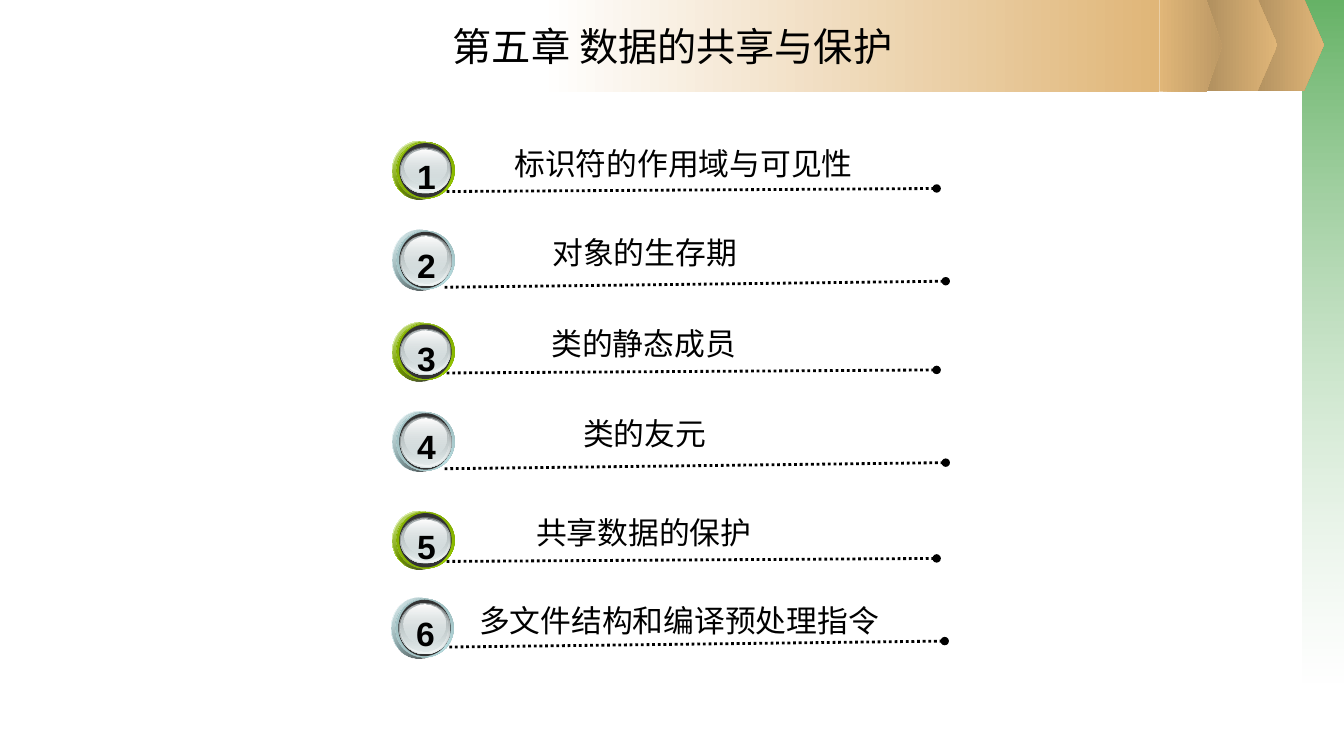
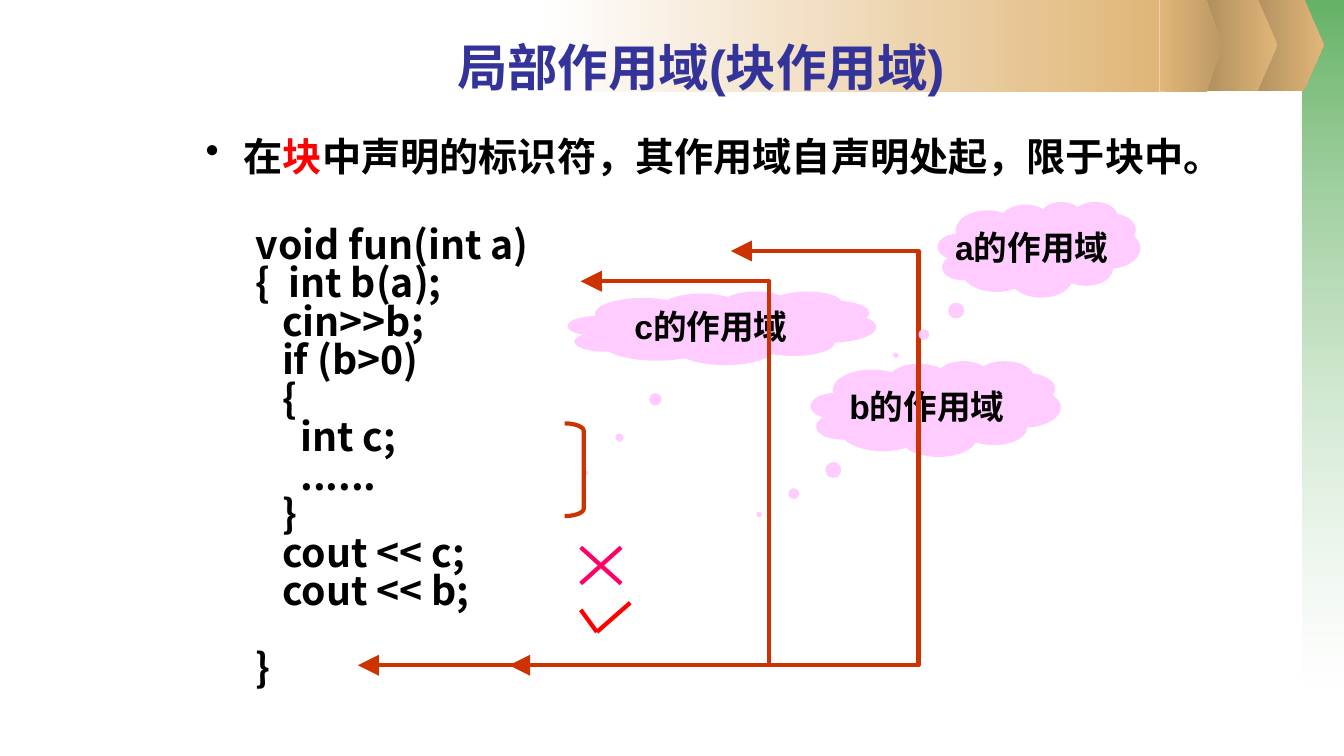
"""Build two slides of a programming lecture: a chapter outline and local scope."""
from dataclasses import dataclass
from typing import NamedTuple, Optional

from lxml import etree
from pptx import Presentation
from pptx import util as u
from pptx.dml.color import RGBColor
from pptx.enum import dml, shapes, text
from pptx.oxml.ns import qn


@dataclass(frozen=True)
class Theme:
    black: str = "000000"
    white: str = "FFFFFF"
    title_blue: str = "333399"
    red: str = "FF0000"
    cross_pink: str = "FF0066"
    cloud_pink: str = "FFCCFF"
    arrow: str = "CC3300"
    gold: str = "E0B678"
    dark_gold: str = "AB8B5C"
    mid_gold: str = "BD9965"
    green: str = "339933"
    dark_ring: str = "333333"
    silver: str = "D6E1E2"
    latin: str = "Arial"
    asian: str = "Noto Sans CJK SC"
    chapter_size: float = 28
    title_size: float = 36
    body_size: float = 28
    callout_size: float = 24
    label_size: float = 22
    thin: float = 2
    thick: float = 3


THEME = Theme()
SHAPE = shapes.MSO_SHAPE


class Box(NamedTuple):
    left: float
    top: float
    width: float
    height: float


class Point(NamedTuple):
    x: float
    y: float


class Stop(NamedTuple):
    position: int
    color: str
    opacity: int = 100


class Gradient(NamedTuple):
    angle: int
    stops: tuple


class Band(NamedTuple):
    kind: int
    box: Box
    gradient: Gradient


class ButtonStyle(NamedTuple):
    color: str
    rim_shade: str
    rim_glow: str
    rule_start: float
    rule_end: float
    rule_rise: float
    layers: tuple


class Topic(NamedTuple):
    label: str
    left: float
    top: float
    rule_drop: float
    label_box: Box


class Callout(NamedTuple):
    label: str
    box: Box
    tail: tuple


class CodeLine(NamedTuple):
    code: str
    indent: float = 0
    gap: float = 0


def two(angle: int, start: Stop, end: Stop) -> Gradient:
    return Gradient(angle, (start, end))


GOLD_PLATE = two(0, Stop(0, THEME.dark_gold), Stop(100, THEME.gold))
BANDS = (
    Band(SHAPE.RECTANGLE, Box(12.92, 0, 0.41, 6.77),
         two(90, Stop(0, THEME.green, 75), Stop(100, THEME.white, 37))),
    Band(SHAPE.PENTAGON, Box(12.34, -0.01, 0.79, 0.91), GOLD_PLATE),
    Band(SHAPE.PENTAGON, Box(11.88, -0.01, 0.79, 0.91), GOLD_PLATE),
    Band(SHAPE.RECTANGLE, Box(5.36, 0, 6.14, 0.91),
         two(0, Stop(0, THEME.white), Stop(100, THEME.gold))),
    Band(SHAPE.PENTAGON, Box(11.5, 0, 0.62, 0.91),
         two(0, Stop(0, THEME.gold), Stop(100, THEME.mid_gold))),
)
GREEN = ButtonStyle("99CC00", "759C00", "7EA700", 0.54, 5.4, 0.03, (
    Box(0, 0, 0.53, 0.58), Box(0, 0, 0.53, 0.58), Box(0.04, 0.01, 0.58, 0.56),
    Box(0.04, 0.01, 0.58, 0.56), Box(0.07, 0.02, 0.52, 0.54), Box(0.08, 0.06, 0.5, 0.46),
    Box(0.09, 0.06, 0.49, 0.45), Box(0.09, 0.07, 0.47, 0.42), Box(0.12, 0.08, 0.42, 0.34)))
BLUE = ButtonStyle("BBE0E3", "8FACAE", "9AB8BA", 0.52, 5.49, 0.06, (
    Box(0, 0, 0.54, 0.6), Box(0, 0, 0.54, 0.6), Box(0.04, 0.01, 0.58, 0.58),
    Box(0.04, 0.01, 0.58, 0.58), Box(0.07, 0.02, 0.52, 0.56), Box(0.08, 0.05, 0.51, 0.51),
    Box(0.09, 0.05, 0.49, 0.5), Box(0.09, 0.06, 0.47, 0.47), Box(0.12, 0.07, 0.42, 0.38)))
TOPICS = (
    Topic("标识符的作用域与可见性", 3.89, 1.4, 0.5, Box(4.2, 1.39, 5.16, 0.47)),
    Topic("对象的生存期", 3.89, 2.28, 0.57, Box(3.98, 2.27, 4.83, 0.47)),
    Topic("类的静态成员", 3.89, 3.2, 0.5, Box(3.97, 3.17, 4.83, 0.47)),
    Topic("类的友元", 3.89, 4.08, 0.57, Box(3.98, 4.07, 4.83, 0.47)),
    Topic("共享数据的保护", 3.89, 5.07, 0.5, Box(3.97, 5.05, 4.83, 0.47)),
    Topic("多文件结构和编译预处理指令", 3.88, 5.93, 0.49, Box(4.12, 5.92, 5.23, 0.47)),
)
CODE_PITCH = 27.5
CODE = (
    CodeLine("void fun(int a)", gap=35.5), CodeLine("{  int b(a);"),
    CodeLine("cin>>b;", 0.26), CodeLine("if (b>0)", 0.26), CodeLine("{", 0.26),
    CodeLine("int c;", 0.44), CodeLine("......", 0.44), CodeLine("}", 0.26),
    CodeLine("cout << c;", 0.26), CodeLine("cout << b;", 0.26),
    CodeLine("}", gap=CODE_PITCH),
)
CALLOUT_A = Callout("a的作用域", Box(9.3, 2, 2.01, 0.95), (-0.707, 1.105))
CALLOUT_B = Callout("b的作用域", Box(8.04, 3.58, 2.48, 0.95), (-0.707, 1.105))
CALLOUT_C = Callout("c的作用域", Box(5.63, 2.89, 3.06, 0.73), (-0.439, 1.969))
SCOPE_A = (Point(7.25, 2.49), Point(9.11, 2.49), Point(9.11, 6.6), Point(5.05, 6.6))
SCOPE_B = (Point(5.76, 2.79), Point(7.63, 2.79), Point(7.63, 6.6), Point(3.55, 6.6))
CROSS = ((Point(5.76, 5.43), Point(6.16, 5.79)), (Point(6.16, 5.43), Point(5.76, 5.79)))
CHECK = ((Point(5.76, 6.05), Point(5.92, 6.27)), (Point(5.92, 6.27), Point(6.25, 5.98)))


def inches(values) -> list:
    return [u.Inches(value) for value in values]


def write(paragraph, content: str, *, size: float, color: str = THEME.black,
          bold: bool = False, font: str = THEME.latin, align=None) -> None:
    run = paragraph.add_run()
    run.text = content
    run.font.size, run.font.bold, run.font.name = u.Pt(size), bold, font
    run.font.color.rgb = RGBColor.from_string(color)
    etree.SubElement(run.font._element, qn("a:ea")).set("typeface", THEME.asian)
    if align is not None:
        paragraph.alignment = align


def add_text_box(container, box: Box, wrap: bool = True):
    frame = container.add_textbox(*inches(box)).text_frame
    frame.word_wrap = wrap
    return frame


def set_gradient(shape, gradient: Gradient) -> None:
    fill = etree.Element(qn("a:gradFill"))
    stop_list = etree.SubElement(fill, qn("a:gsLst"))
    for stop in gradient.stops:
        mark = etree.SubElement(stop_list, qn("a:gs"), pos=str(stop.position * 1000))
        color = etree.SubElement(mark, qn("a:srgbClr"), val=stop.color)
        if stop.opacity < 100:
            etree.SubElement(color, qn("a:alpha"), val=str(stop.opacity * 1000))
    etree.SubElement(fill, qn("a:lin"), ang=str(gradient.angle * 60000), scaled="0")
    shape._element.spPr.insert(2, fill)


def set_line(shape, color: str, width: float) -> None:
    shape.line.color.rgb = RGBColor.from_string(color)
    shape.line.width = u.Pt(width)


def set_end(shape, end: str, kind: str, scale: str) -> None:
    line = shape.line._get_or_add_ln()
    etree.SubElement(line, qn(f"a:{end}"), type=kind, w=scale, len=scale)


def add_plain_shape(container, kind: int, box: Box, fill=None):
    shape = container.add_shape(kind, *inches(box))
    shape.shadow.inherit = False
    shape.line.fill.background()
    if isinstance(fill, Gradient):
        set_gradient(shape, fill)
    elif fill:
        shape.fill.solid()
        shape.fill.fore_color.rgb = RGBColor.from_string(fill)
    else:
        shape.fill.background()
    return shape


def add_line(container, start: Point, end: Point, color: str, width: float):
    line = container.add_connector(shapes.MSO_CONNECTOR.STRAIGHT, *inches((*start, *end)))
    set_line(line, color, width)
    etree.SubElement(line._element.spPr, qn("a:effectLst"))
    return line


def add_bands(slide, master) -> None:
    for band in BANDS:
        shape = add_plain_shape(slide.shapes, band.kind, band.box, band.gradient)
        if band.kind == SHAPE.PENTAGON:
            shape.adjustments[0] = 0.25
        master.shapes._spTree.append(shape._element)


def add_title(slide, content: str, box: Box, anchor, **style) -> None:
    title = slide.shapes.title
    title.left, title.top, title.width, title.height = inches(box)
    frame = title.text_frame
    frame.auto_size, frame.word_wrap = text.MSO_AUTO_SIZE.NONE, True
    frame.vertical_anchor = anchor
    write(frame.paragraphs[0], content, align=text.PP_ALIGN.CENTER, **style)


def button_fills(style: ButtonStyle) -> tuple:
    white, silver = THEME.white, THEME.silver
    return (
        Gradient(45, (Stop(0, white), Stop(50, style.color), Stop(100, white))),
        two(45, Stop(0, style.color, 32), Stop(100, THEME.black, 90)),
        Gradient(315, (Stop(0, style.rim_shade), Stop(50, style.color),
                       Stop(100, style.rim_shade))),
        two(45, Stop(0, style.rim_glow), Stop(100, style.color, 0)),
        THEME.dark_ring,
        two(90, Stop(0, "636869"), Stop(100, silver)),
        two(90, Stop(0, silver, 0), Stop(100, "F1F5F5")),
        two(90, Stop(0, "AAB2B3"), Stop(100, silver, 48)),
        two(90, Stop(0, white), Stop(100, silver, 38)),
    )


def add_topic(slide, number: int, topic: Topic, style: ButtonStyle) -> None:
    left, top = topic.left, topic.top
    rule_y = top + topic.rule_drop
    rule = add_line(slide.shapes, Point(left + style.rule_start, rule_y),
                    Point(left + style.rule_end, rule_y - style.rule_rise),
                    THEME.black, THEME.thin)
    rule.line.dash_style = dml.MSO_LINE.ROUND_DOT
    set_end(rule, "tailEnd", "oval", "med")
    button = slide.shapes.add_group_shape().shapes
    for layer, fill in zip(style.layers, button_fills(style)):
        box = layer._replace(left=left + layer.left, top=top + layer.top)
        add_plain_shape(button, SHAPE.OVAL, box, fill)
    digit = add_text_box(button, Box(left + 0.15, top + 0.1, 0.37, 0.5), wrap=False)
    write(digit.paragraphs[0], str(number), size=THEME.callout_size, bold=True,
          align=text.PP_ALIGN.CENTER)
    label = add_text_box(slide.shapes, topic.label_box)
    write(label.paragraphs[0], topic.label, size=THEME.label_size, align=text.PP_ALIGN.CENTER)


def add_callout(slide, callout: Callout) -> None:
    cloud = add_plain_shape(slide.shapes, SHAPE.CLOUD_CALLOUT, callout.box, THEME.cloud_pink)
    cloud.adjustments[0], cloud.adjustments[1] = callout.tail
    frame = cloud.text_frame
    frame.word_wrap, frame.vertical_anchor = False, text.MSO_ANCHOR.MIDDLE
    write(frame.paragraphs[0], callout.label, size=THEME.callout_size, bold=True,
          align=text.PP_ALIGN.CENTER)


def add_scope_arrow(slide, points: tuple) -> None:
    start, *corners = [tuple(inches(point)) for point in points]
    builder = slide.shapes.build_freeform(*start)
    builder.add_line_segments(corners, close=False)
    arrow = builder.convert_to_shape()
    arrow.shadow.inherit = False
    arrow.fill.background()
    set_line(arrow, THEME.arrow, THEME.thick)
    for end in ("headEnd", "tailEnd"):
        set_end(arrow, end, "triangle", "lg")


def add_mark(slide, strokes: tuple, color: str) -> None:
    mark = slide.shapes.add_group_shape().shapes
    for start, end in strokes:
        add_line(mark, start, end, color, THEME.thick)


def format_paragraph(paragraph, indent: float, pitch: float, gap: float = 0,
                     bullet: Optional[str] = None) -> None:
    properties = paragraph._p.get_or_add_pPr()
    properties.set("marL", str(u.Inches(indent)))
    if bullet:
        properties.set("indent", str(-u.Inches(indent)))
        etree.SubElement(properties, qn("a:buChar")).set("char", bullet)
    paragraph.line_spacing, paragraph.space_before = u.Pt(pitch), u.Pt(gap)


def add_body(slide) -> None:
    frame = add_text_box(slide.shapes, Box(1.94, 1.31, 10.14, 5))
    style = dict(size=THEME.body_size, bold=True, font=THEME.asian)
    rule = frame.paragraphs[0]
    format_paragraph(rule, 0.38, 30, bullet="•")
    write(rule, "在", **style)
    write(rule, "块", color=THEME.red, **style)
    write(rule, "中声明的标识符，其作用域自声明处起，限于块中。", **style)
    for line in CODE:
        paragraph = frame.add_paragraph()
        format_paragraph(paragraph, 0.5 + line.indent, CODE_PITCH, line.gap)
        write(paragraph, line.code, **style)


def build_outline(slide) -> None:
    add_title(slide, "第五章 数据的共享与保护", Box(1.67, 0.14, 10, 0.62),
              text.MSO_ANCHOR.MIDDLE, size=THEME.chapter_size)
    for number, topic in enumerate(TOPICS, 1):
        add_topic(slide, number, topic, GREEN if number % 2 else BLUE)


def build_scope(slide) -> None:
    add_title(slide, "局部作用域(块作用域)", Box(2.99, 0.31, 7.92, 0.92), text.MSO_ANCHOR.TOP,
              size=THEME.title_size, color=THEME.title_blue, bold=True)
    add_body(slide)
    add_callout(slide, CALLOUT_C)
    bracket = add_plain_shape(slide.shapes, SHAPE.RIGHT_BRACKET, Box(5.6, 4.2, 0.19, 0.92))
    bracket.adjustments[0] = 0.397
    set_line(bracket, THEME.arrow, THEME.thick)
    add_scope_arrow(slide, SCOPE_B)
    add_callout(slide, CALLOUT_B)
    add_mark(slide, CROSS, THEME.cross_pink)
    add_mark(slide, CHECK, THEME.red)
    add_scope_arrow(slide, SCOPE_A)
    add_callout(slide, CALLOUT_A)


def main() -> None:
    presentation = Presentation()
    presentation.slide_width, presentation.slide_height = inches((13.33, 7.5))
    title_only = presentation.slide_layouts[5]
    outline, scope = (presentation.slides.add_slide(title_only) for _ in range(2))
    add_bands(outline, presentation.slide_master)
    build_outline(outline)
    build_scope(scope)
    presentation.save("out.pptx")


main()
